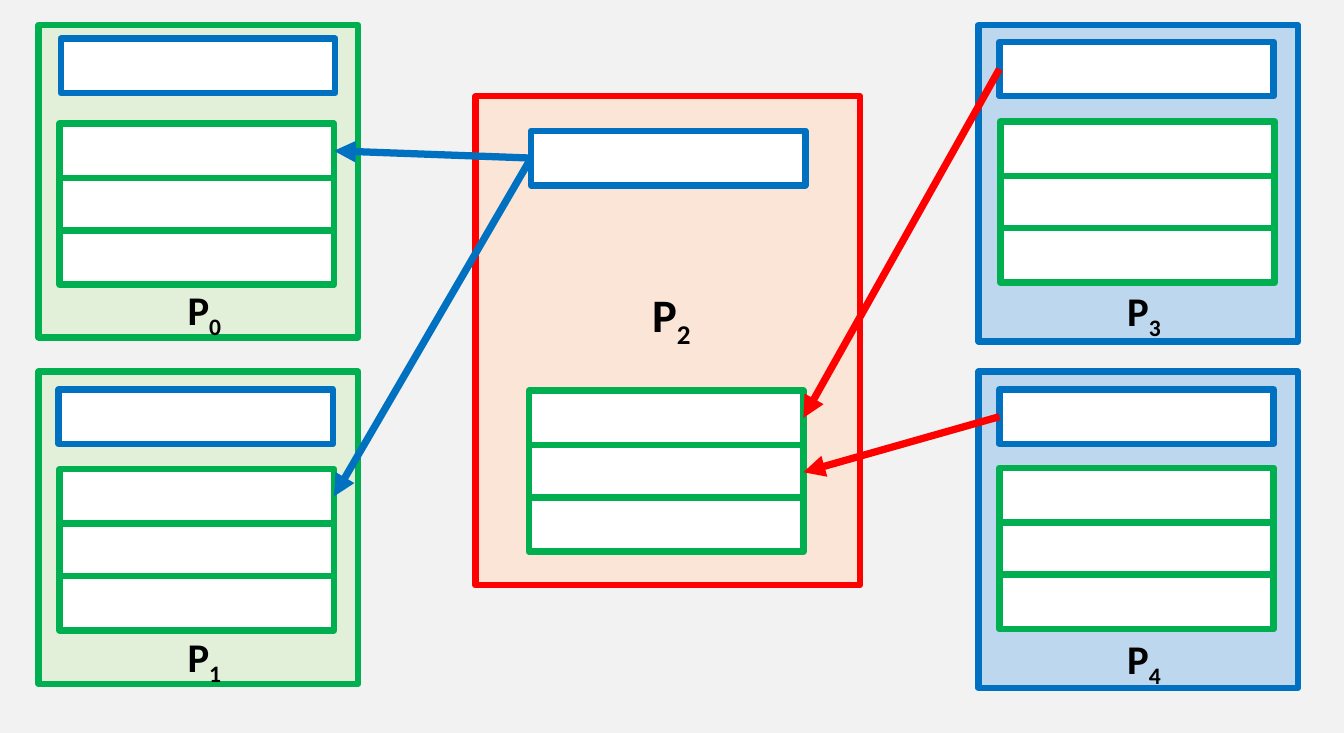
from pptx import Presentation
from pptx.dml.color import RGBColor as RGB
from pptx.enum.shapes import MSO_CONNECTOR as CONN, MSO_SHAPE as SHAPE
from pptx.enum.text import MSO_AUTO_SIZE as FIT, PP_ALIGN as ALIGN
from pptx.oxml.ns import qn
from pptx.util import Pt
from lxml import etree

C = {"grey": "F2F2F2", "white": "FFFFFF", "black": "000000",
     "green": "00B050", "blue": "0070C0", "red": "FF0000",
     "pale green": "E2F0D9", "pale blue": "BDD7EE", "pale red": "FBE5D6"}
BOX_W, BOX_H = 188.6, 37.4
SLOT_STEPS = (0, 37.4, 73.4)
LEFT, RIGHT = 1, 3  # connection sites of a rectangle

prs = Presentation()
prs.slide_width, prs.slide_height = Pt(923.76), Pt(504)
s = prs.slides.add_slide(prs.slide_layouts[6])


def add_rect(x, y, w, h, fill, line=None):
    sp = s.shapes.add_shape(SHAPE.RECTANGLE, Pt(x), Pt(y), Pt(w), Pt(h))
    sp.shadow.inherit = False
    sp.fill.solid()
    sp.fill.fore_color.rgb = RGB.from_string(C[fill])
    if line:
        sp.line.color.rgb = RGB.from_string(C[line])
        sp.line.width = Pt(4.5)
    else:
        sp.line.fill.background()
    return sp


# Backdrop
add_rect(-3.6, -1.4, 930.2, 509, "grey")

# Processes: panel, colour, send box, receive queue, label box, label size
processes = [
    ((26.6, 17.3, 219.6, 214.6), "green", (41.8, 26.6), (41, 85), (111.6, 192.2, 47.5, 41), 28),
    ((26.6, 255.6, 219.6, 214.6), "green", (40.3, 267.8), (41, 322.6), (111.6, 430.6, 47.5, 41), 28),
    ((326.9, 66.2, 264.2, 336.2), "red", (365, 90), (363.6, 268.6), (429.1, 193, 52.6, 46), 32),
    ((672.5, 17.3, 219.6, 217.4), "blue", (686.9, 28.8), (687.6, 83.5), (757.4, 193, 47.5, 41), 28),
    ((672.5, 255.6, 219.6, 217.4), "blue", (686.9, 267.8), (686.9, 321.8), (757.4, 432, 47.5, 41), 28),
]
senders, queues = [], []
for i, (panel, colour, send, queue, label, size) in enumerate(processes):
    add_rect(*panel, "pale " + colour, colour)
    senders.append(add_rect(*send, BOX_W, BOX_H, "white", "blue"))
    x, y = queue
    queues.append([add_rect(x, y + dy, BOX_W, BOX_H, "white", "green") for dy in SLOT_STEPS])

    # Label with subscript number
    tf = s.shapes.add_textbox(*map(Pt, label)).text_frame
    tf.word_wrap = False
    tf.auto_size = FIT.SHAPE_TO_FIT_TEXT
    p = tf.paragraphs[0]
    p.alignment = ALIGN.RIGHT
    p.font.name, p.font.size, p.font.bold = "Calibri", Pt(size), True
    p.font.color.rgb = RGB.from_string(C["black"])
    p._p.get_or_add_pPr().set("rtl", "1")
    for text in ("P", str(i)):
        r = p.add_run()
        r.text = text
    r.font._element.set("baseline", "-25000")

# Messages: sender, receiver, queue slot, colour
for source, target, slot, colour in [(2, 0, 0, "blue"), (2, 1, 0, "blue"),
                                     (3, 2, 0, "red"), (4, 2, 1, "red")]:
    arrow = s.shapes.add_connector(CONN.STRAIGHT, 0, 0, 0, 0)
    arrow.begin_connect(senders[source], LEFT)
    arrow.end_connect(queues[target][slot], RIGHT)
    arrow.line.color.rgb = RGB.from_string(C[colour])
    arrow.line.width = Pt(5)
    etree.SubElement(arrow.line._get_or_add_ln(), qn("a:tailEnd"), type="triangle")
    etree.SubElement(arrow._element.spPr, qn("a:effectLst"))

prs.save("out.pptx")
